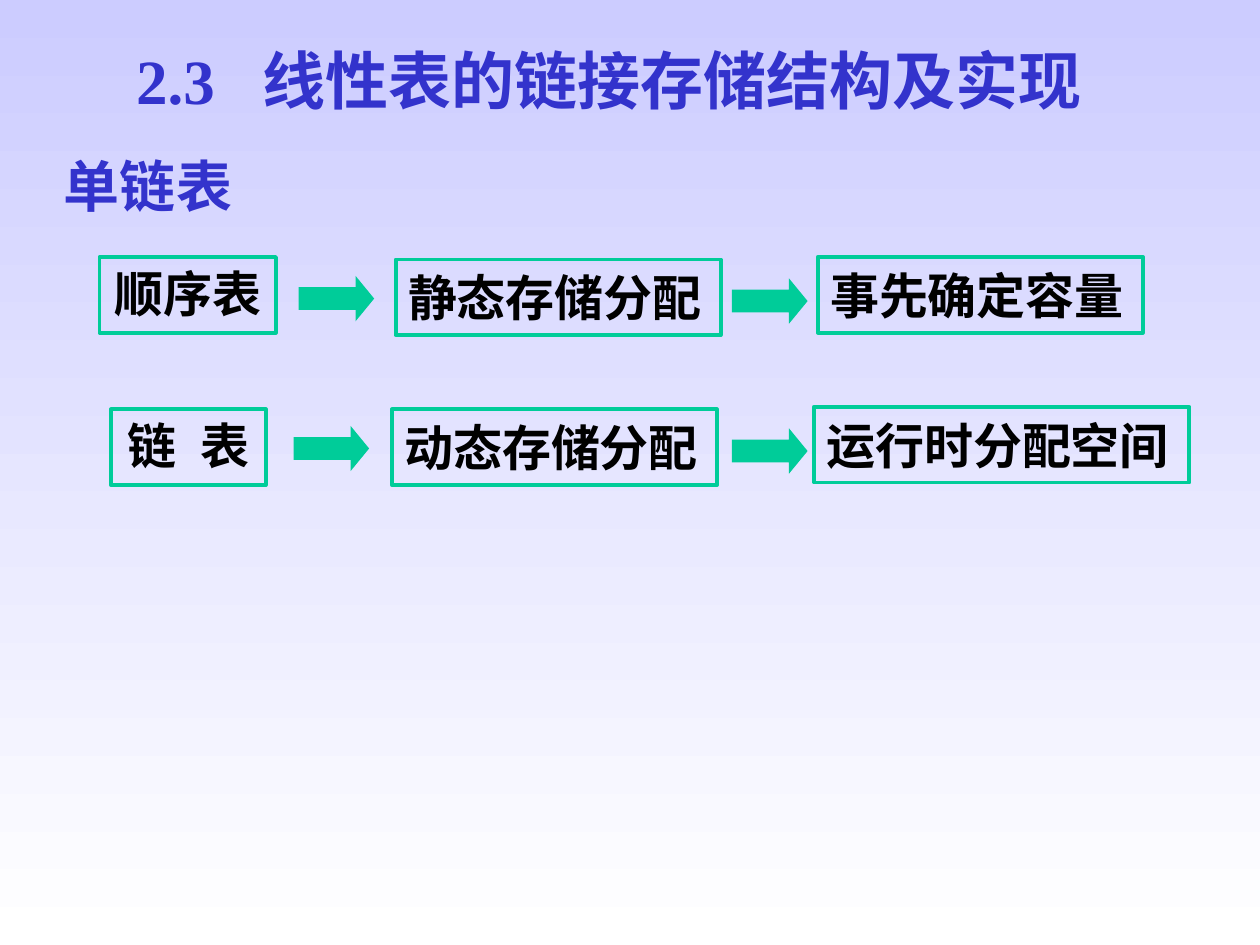
from lxml.etree import SubElement
from pptx import Presentation
from pptx.dml.color import RGBColor
from pptx.enum.shapes import MSO_SHAPE as Shape
from pptx.enum.text import MSO_ANCHOR as Anchor, PP_ALIGN as Align
from pptx.oxml.ns import qn
from pptx.util import Inches, Pt

COLORS = {"heading": "3333CC", "text": "000000", "accent": "00CC99",
          "sky": "CCCCFF", "white": "FFFFFF"}
CJK_FONT = "Noto Sans CJK SC"
BOX_HEIGHT = 0.6
ROWS = [
    {"boxes": [(["顺序表"], 0.79, 2.04, 1.4), (["静态存储分配"], 3.14, 2.06, 2.58),
               (["事先确定容量"], 6.49, 2.04, 2.58)],
     "arrows": [(2.37, 2.19), (5.81, 2.21)]},
    {"boxes": [(["链", " ", "表"], 0.88, 3.25, 1.23), (["动态存储分配"], 3.11, 3.25, 2.58),
               (["运行时分配空间"], 6.46, 3.23, 2.98)],
     "arrows": [(2.33, 3.38), (5.81, 3.4)]},
]


def color(name):
    """Return a named colour."""
    return RGBColor.from_string(COLORS[name])


def write(frame, texts, size, font, color_name, align=Align.LEFT,
          anchor=Anchor.MIDDLE, gap=7):
    """Write bold runs, widening a lone space by gap points, and return the paragraph."""
    frame.vertical_anchor = anchor
    paragraph = frame.paragraphs[0]
    paragraph.alignment = align
    for text in texts:
        run = paragraph.add_run()
        run.text = text
        run.font.size, run.font.bold, run.font.name = Pt(size), True, font
        run.font.color.rgb = color(color_name)
        SubElement(run.font._element, qn("a:ea")).set("typeface", CJK_FONT)
        if text == " ":
            run.font._element.set("spc", str(gap * 100))
    return paragraph


def paint_background(slide):
    """Fill the background with a top-down gradient."""
    fill = slide.background.fill
    fill.gradient()
    fill.gradient_angle = 270
    for stop, name, position in zip(fill.gradient_stops, ("sky", "white"), (0, 1)):
        stop.color.rgb = color(name)
        stop.position = position


def add_title(slide, texts):
    """Place and fill the slide title."""
    title = slide.shapes.title
    title.left, title.top = Inches(0.98), Inches(0.28)
    title.width, title.height = Inches(7.92), Inches(0.7)
    title.text_frame.word_wrap = True
    write(title.text_frame, texts, 36, "Times New Roman", "heading", gap=18)


def add_subtitle(slide, text):
    """Add the section heading below the title."""
    box = slide.shapes.add_textbox(Inches(0.41), Inches(1.14), Inches(3.57), Inches(0.72))
    box.text_frame.word_wrap = True
    write(box.text_frame, [text], 32, "Arial", "heading").line_spacing = 0.9


def add_box(group, texts, left, top, width, is_first):
    """Add an outlined box; the first in a row is centred and unwrapped."""
    box = group.shapes.add_shape(Shape.RECTANGLE, Inches(left), Inches(top),
                                 Inches(width), Inches(BOX_HEIGHT))
    box.shadow.inherit = False
    box.fill.background()
    box.line.color.rgb = color("accent")
    box.line.width = Pt(2.25)
    box.text_frame.word_wrap = not is_first
    if is_first:
        write(box.text_frame, texts, 28, "Arial", "text", Align.CENTER, Anchor.TOP)
    else:
        write(box.text_frame, texts, 28, CJK_FONT, "text")


def add_arrow(group, left, top):
    """Add a solid block arrow pointing right."""
    arrow = group.shapes.add_shape(Shape.RIGHT_ARROW, Inches(left), Inches(top),
                                   Inches(0.6), Inches(0.36))
    arrow.shadow.inherit = False
    arrow.adjustments[0], arrow.adjustments[1] = 0.5, 0.41
    arrow.fill.solid()
    arrow.fill.fore_color.rgb = color("accent")
    arrow.line.fill.background()


def add_row(slide, boxes, arrows):
    """Add one grouped chain of boxes and arrows."""
    group = slide.shapes.add_group_shape()
    for index, (texts, left, top, width) in enumerate(boxes):
        add_box(group, texts, left, top, width, index == 0)
    for left, top in arrows:
        add_arrow(group, left, top)


def main():
    """Build and save the slide."""
    presentation = Presentation()
    presentation.slide_width, presentation.slide_height = Inches(10), Inches(7.5)
    slide = presentation.slides.add_slide(presentation.slide_layouts[5])
    paint_background(slide)
    add_title(slide, ["2.3", " ", "线性表的链接存储结构及实现"])
    add_subtitle(slide, "单链表")
    for row in ROWS:
        add_row(slide, **row)
    presentation.save("out.pptx")


if __name__ == "__main__":
    main()
